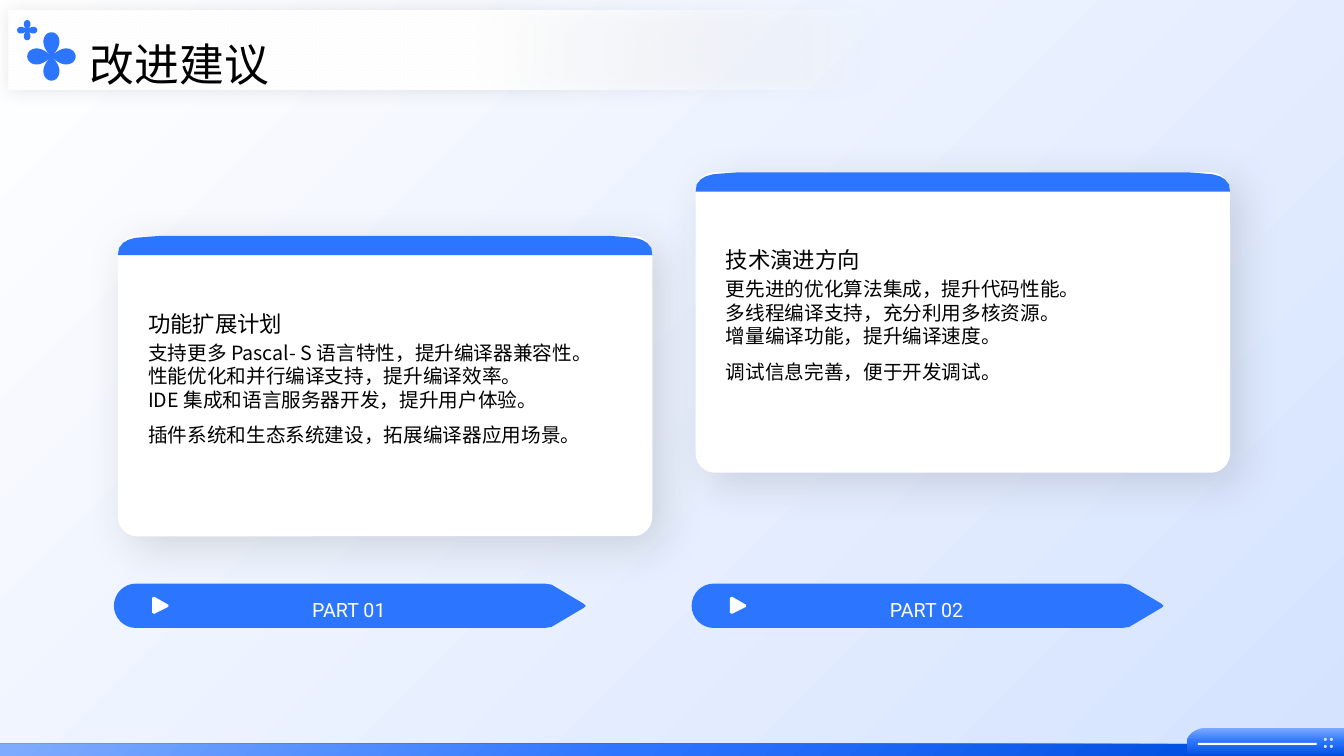
"""Builds the slide of improvement suggestions."""
import math

from lxml import etree
from pptx import Presentation, oxml
from pptx import util as u
from pptx.dml import color
from pptx.enum import shapes, text
from pptx.oxml import ns

HUES = {"blue": "2C75FF", "pale": "D5E3FF", "white": "FFFFFF", "black": "000000",
        "sky": "80ACFF", "mist": "7EABFF", "deep": "004EE0", "shade": "262626"}
SANS, LATIN = "Noto Sans CJK SC", "Roboto"
KIND = shapes.MSO_SHAPE
ALIGN, ANCHOR, FIT = text.PP_ALIGN, text.MSO_ANCHOR, text.MSO_AUTO_SIZE


class Deck:
    """Holds the style and the current slide."""

    def __init__(self):
        """Open a slide with a title and two headed lists."""
        self.prs = Presentation()
        self.prs.slide_width, self.prs.slide_height = u.Inches(13.33), u.Inches(7.5)
        self.slide = self.prs.slides.add_slide(self.prs.slide_layouts[4])
        self.tree = self.slide.shapes

    def tint(self, hue):
        """Return the colour of a named hue."""
        return color.RGBColor.from_string(HUES[hue])

    def paint(self, shape, fill):
        """Fill a shape with a hue or a (stops, angle) gradient, without outline."""
        shape.shadow.inherit = False
        shape.line.fill.background()
        if isinstance(fill, str):
            shape.fill.solid()
            shape.fill.fore_color.rgb = self.tint(fill)
            return shape
        stops, angle = fill
        marks = "".join(
            f'<a:gs pos="{pos * 1000}"><a:srgbClr val="{HUES[hue]}">'
            f'<a:alpha val="{alpha * 1000}"/></a:srgbClr></a:gs>'
            for pos, hue, alpha in stops)
        way = (f'<a:lin ang="{angle * 60000}" scaled="0"/>' if angle is not None else
               '<a:path path="circle"><a:fillToRect r="100000" b="100000"/></a:path>')
        shape.fill.gradient()
        old = shape._element.spPr.find(ns.qn("a:gradFill"))
        old.getparent().replace(old, oxml.parse_xml(
            f'<a:gradFill {ns.nsdecls("a")} rotWithShape="1">'
            f'<a:gsLst>{marks}</a:gsLst>{way}</a:gradFill>'))
        return shape

    def box(self, kind, x, y, w, h, fill):
        """Add a preset shape."""
        return self.paint(self.tree.add_shape(kind, *map(u.Inches, (x, y, w, h))), fill)

    def form(self, x, y, points, fill):
        """Add an outline whose points are offsets from x, y."""
        spots = [(u.Inches(x + dx), u.Inches(y + dy)) for dx, dy in points]
        pen = self.tree.build_freeform(*spots[0], scale=1.0)
        pen.add_line_segments(spots[1:], close=True)
        return self.paint(pen.convert_to_shape(), fill)

    def glow(self, shape, hue, alpha, blur, dist, angle):
        """Give a shape a soft outer shadow."""
        shape._element.spPr.find(ns.qn("a:effectLst")).append(oxml.parse_xml(
            f'<a:outerShdw {ns.nsdecls("a")} blurRad="{u.Pt(blur)}" dist="{u.Pt(dist)}" '
            f'dir="{angle * 60000}" algn="ctr" rotWithShape="0"><a:srgbClr '
            f'val="{HUES[hue]}"><a:alpha val="{alpha * 1000}"/></a:srgbClr></a:outerShdw>'))

    def style(self, para, size, hue, face, space, align):
        """Format one paragraph and its runs."""
        para.alignment, para.line_spacing = align, space
        para.space_before = para.space_after = u.Pt(0)
        props = para._p.get_or_add_pPr()
        props.set("marL", "0")
        props.set("indent", "0")
        etree.SubElement(props, ns.qn("a:buNone"))
        for run in para.runs:
            run.font.size, run.font.bold = u.Pt(size), False
            run.font.color.rgb = self.tint(hue)
            run.font.name = face
            etree.SubElement(run._r.rPr, ns.qn("a:ea")).set("typeface", face)

    def holder(self, idx, x, y, w, h, lines, size, spaces, anchor):
        """Move a placeholder to the front and fill it with lines."""
        shape = next(p for p in self.slide.placeholders if p.placeholder_format.idx == idx)
        self.tree._spTree.append(shape._element)
        shape.left, shape.top, shape.width, shape.height = map(u.Inches, (x, y, w, h))
        frame = shape.text_frame
        frame.text = "\n".join(lines)
        frame.margin_left = frame.margin_right = frame.margin_top = frame.margin_bottom = 0
        frame.auto_size, frame.vertical_anchor = FIT.NONE, anchor
        for para, space in zip(frame.paragraphs, spaces):
            self.style(para, size, "black", SANS, space, ALIGN.LEFT)

    def label(self, x, y, w, h, words):
        """Add a centred white label."""
        frame = self.tree.add_textbox(*map(u.Inches, (x, y, w, h))).text_frame
        frame.text = words
        frame.word_wrap, frame.auto_size = True, FIT.SHAPE_TO_FIT_TEXT
        frame.margin_left = frame.margin_right = u.Inches(0.06)
        frame.margin_top = frame.margin_bottom = u.Inches(0.06)
        self.style(frame.paragraphs[0], 14, "white", LATIN, 1.1, ALIGN.CENTER)

    def tag(self, x, y, words):
        """Add an arrow tag with a play mark and a label."""
        cap = [(0.22 - 0.22 * math.sin(a), 0.22 + 0.22 * math.cos(a))
               for a in (math.pi * i / 16 for i in range(17))]
        tip = [(4.27, 0), (4.34, 0.01), (4.66, 0.2), (4.68, 0.22),
               (4.66, 0.24), (4.34, 0.43), (4.27, 0.44)]
        self.form(x, y, cap + tip, "blue")
        play = [(0, 0.01), (0.02, 0), (0.16, 0.08), (0.16, 0.1), (0.02, 0.17), (0, 0.16)]
        self.form(x + 0.38, y + 0.13, play, "white")
        self.label(x + 1.06, y + 0.06, 2.54, 0.32, words)

    def card(self, x, y, idx, head, lines):
        """Add a card with a blue top, a heading and a list."""
        base = self.box(KIND.ROUNDED_RECTANGLE, x, y, 5.3, 2.98, "white")
        base.adjustments[0] = 0.064
        self.glow(base, "shade", 15, 30, 10, 45)
        edge = [(0, 0.19), (0.01, 0.12), (0.05, 0.07), (0.1, 0.04),
                (0.17, 0.02), (0.28, 0.01), (0.42, 0)]
        self.form(x, y, edge + [(5.3 - dx, dy) for dx, dy in reversed(edge)], "blue")
        self.holder(idx, x + 0.3, y + 0.25, 4.71, 0.75, [head], 16, [1.3], ANCHOR.BOTTOM)
        self.holder(idx + 1, x + 0.3, y + 1.04, 4.71, 1.79, lines, 14,
                    [1.0, 1.0, 1.0, 1.5], ANCHOR.TOP)

    def bloom(self, x, y, size):
        """Add a flower of four petals around x, y."""
        turns = [math.radians(3 * i) for i in range(120)]
        reach = [size * abs(math.cos(2 * a)) ** 0.6 for a in turns]
        self.form(x, y, [(r * math.cos(a), r * math.sin(a))
                         for r, a in zip(reach, turns)], "blue")

    def base(self):
        """Add the backdrop and the footer."""
        self.box(KIND.RECTANGLE, 0, 0, 13.33, 7.5,
                 ([(0, "white", 100), (100, "pale", 100)], 45))
        self.form(0, 7.38, [(0, 0), (12.21, 0), (12.29, 0.07), (12.27, 0.12), (0, 0.12)],
                  ([(1, "mist", 100), (51, "blue", 100), (100, "deep", 100)], None))
        bend = [(0.21 - 0.21 * math.cos(a), 0.16 - 0.16 * math.sin(a))
                for a in (math.pi * i / 16 for i in range(9))]
        self.form(11.77, 7.22, bend + [(1.56, 0), (1.56, 0.28), (0, 0.28)],
                  ([(0, "sky", 100), (49, "blue", 100), (100, "deep", 100)], 90))
        self.box(KIND.RECTANGLE, 11.88, 7.37, 1.18, 0.02, "white")
        for i in range(4):
            self.box(KIND.OVAL, 13.13 + 0.06 * (i % 2), 7.32 + 0.07 * (i // 2),
                     0.03, 0.03, "pale")

    def top(self, words):
        """Add the title bar, its title and the flowers."""
        bar = self.box(KIND.RECTANGLE, 0.09, 0.1, 11.55, 0.79,
                       ([(25, "white", 0), (60, "white", 100)], 180))
        self.glow(bar, "black", 10, 13, 0, 0)
        self.holder(0, 0.89, 0.26, 8.51, 0.47, [words], 32, [1.5], ANCHOR.MIDDLE)
        self.bloom(0.51, 0.56, 0.24)
        self.bloom(0.27, 0.3, 0.1)


def main():
    """Build and save the slide."""
    deck = Deck()
    deck.base()
    plans = [
        (2.34, "功能扩展计划", ["支持更多 Pascal- S 语言特性，提升编译器兼容性。",
                          "性能优化和并行编译支持，提升编译效率。",
                          "IDE 集成和语言服务器开发，提升用户体验。",
                          "插件系统和生态系统建设，拓展编译器应用场景。"]),
        (1.71, "技术演进方向", ["更先进的优化算法集成，提升代码性能。",
                          "多线程编译支持，充分利用多核资源。",
                          "增量编译功能，提升编译速度。",
                          "调试信息完善，便于开发调试。"]),
    ]
    for i, (y, head, lines) in enumerate(plans):
        x = 1.17 + 5.73 * i
        deck.tag(x - 0.04, 5.79, f"PART 0{i + 1}")
        deck.card(x, y, 1 + 2 * i, head, lines)
    deck.top("改进建议")
    deck.prs.save("out.pptx")


if __name__ == "__main__":
    main()
